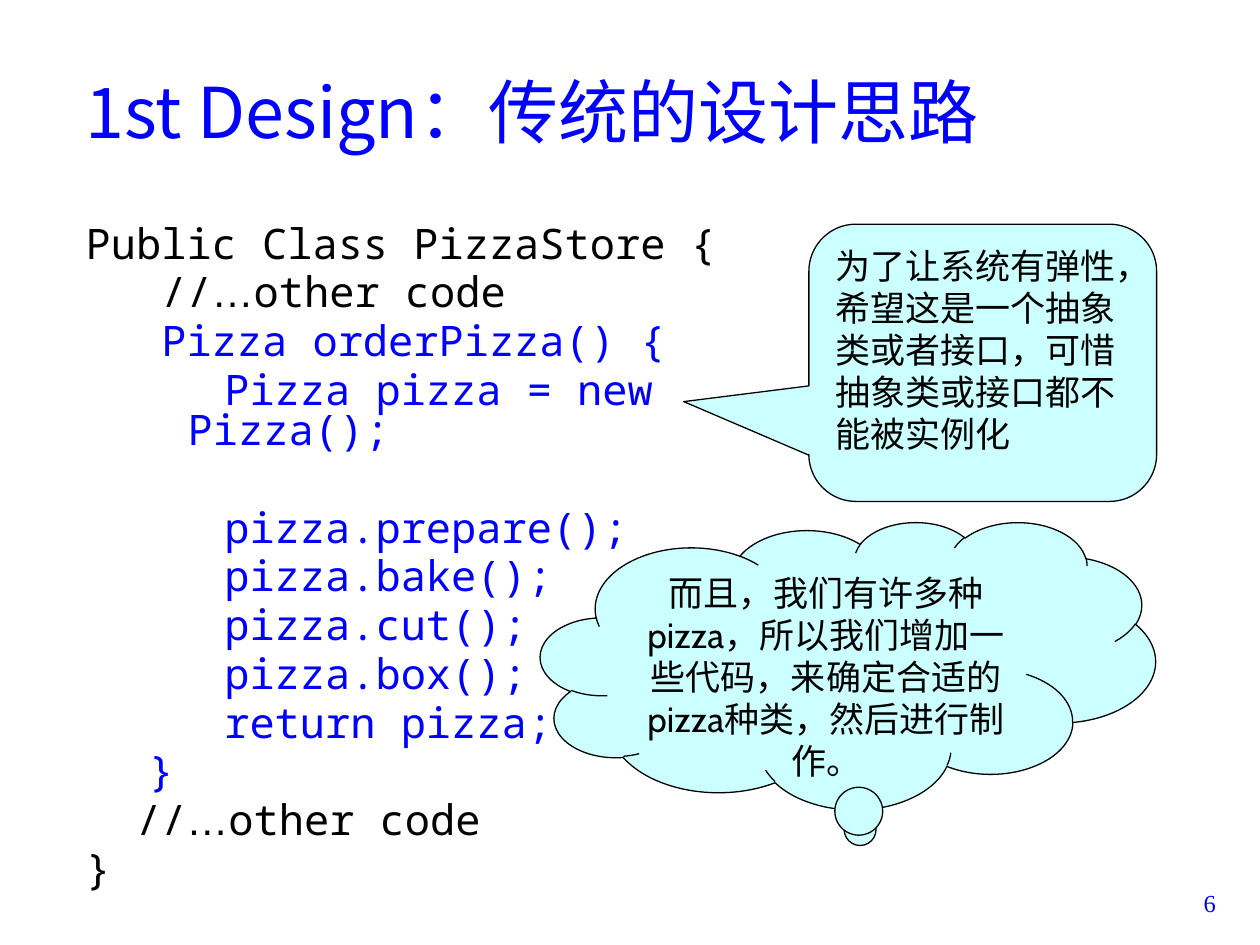
import pptx
import pptx.util
import pptx.dml.color
import pptx.enum.shapes
import pptx.enum.text
import pptx.oxml.ns
from lxml import etree

Inches, Pt = pptx.util.Inches, pptx.util.Pt
ALIGN = pptx.enum.text.PP_ALIGN
ANCHOR = pptx.enum.text.MSO_ANCHOR
SHAPE = pptx.enum.shapes.MSO_SHAPE

COLOURS = {"blue": "0000FF", "black": "000000", "cyan": "CCFFFF"}
CJK_FONT = "Noto Sans CJK SC"
CODE_SIZE = 24
CODE_GAP = 4.8
BLANK_LINE = 28

# Text, colour, outline level, space before in points
CODE_LINES = [
    ("Public Class PizzaStore {", "black", 0, 0),
    ("   //…other code", "black", 0, CODE_GAP),
    ("   Pizza orderPizza() {", "blue", 0, CODE_GAP),
    ("   Pizza pizza = new Pizza();", "blue", 1, CODE_GAP),
    ("   pizza.prepare();", "blue", 1, CODE_GAP + BLANK_LINE),
    ("   pizza.bake();", "blue", 1, CODE_GAP),
    ("   pizza.cut();", "blue", 1, CODE_GAP),
    ("   pizza.box();", "blue", 1, CODE_GAP),
    ("   return pizza;", "blue", 1, CODE_GAP),
    ("}", "blue", 1, CODE_GAP),
    ("  //…other code", "black", 0, CODE_GAP),
    ("}", "black", 0, CODE_GAP),
]
# Left margin and first-line indent for each outline level
INDENTS = [(0.38, -0.38), (0.81, -0.31)]


def colour(name):
    return pptx.dml.color.RGBColor.from_string(COLOURS[name])


def set_attributes(target, values):
    for name, value in values.items():
        setattr(target, name, value)


def place(shape, left, top, width, height):
    set_attributes(shape, {"left": Inches(left), "top": Inches(top),
                           "width": Inches(width), "height": Inches(height)})


def add_run(paragraph, text, font, size, colour_name):
    run = paragraph.add_run()
    run.text = text
    set_attributes(run.font, {"name": font, "size": Pt(size)})
    run.font.color.rgb = colour(colour_name)
    east_asian = etree.SubElement(run._r.get_or_add_rPr(), pptx.oxml.ns.qn("a:ea"))
    east_asian.set("typeface", CJK_FONT)


def format_frame(frame, anchor):
    set_attributes(frame, {"word_wrap": True, "vertical_anchor": anchor,
                           "auto_size": pptx.enum.text.MSO_AUTO_SIZE.NONE})


def write_line(shape, text, font, size, colour_name, alignment, anchor=ANCHOR.TOP):
    format_frame(shape.text_frame, anchor)
    paragraph = shape.text_frame.paragraphs[0]
    paragraph.alignment = alignment
    add_run(paragraph, text, font, size, colour_name)


def write_code(shape):
    frame = shape.text_frame
    format_frame(frame, ANCHOR.TOP)
    for index, (text, colour_name, level, space) in enumerate(CODE_LINES):
        paragraph = frame.add_paragraph() if index else frame.paragraphs[0]
        properties = paragraph._p.get_or_add_pPr()
        for name, value in zip(("marL", "indent"), INDENTS[level]):
            properties.set(name, str(Inches(value)))
        etree.SubElement(properties, pptx.oxml.ns.qn("a:buNone"))
        set_attributes(paragraph, {"level": level, "line_spacing": 0.8,
                                   "space_before": Pt(space),
                                   "alignment": ALIGN.LEFT})
        before, ellipsis, after = text.partition("…")
        add_run(paragraph, before, "Noto Sans Mono", CODE_SIZE, colour_name)
        if ellipsis:
            add_run(paragraph, ellipsis, "Arial", CODE_SIZE, colour_name)
            add_run(paragraph, after, "Noto Sans Mono", CODE_SIZE, colour_name)


def add_callout(slide, kind, box, adjustments, text, alignment):
    shape = slide.shapes.add_shape(kind, *map(Inches, box))
    shape.shadow.inherit = False
    for index, value in enumerate(adjustments):
        shape.adjustments[index] = value
    shape.fill.solid()
    shape.fill.fore_color.rgb = colour("cyan")
    shape.line.color.rgb = colour("black")
    shape.line.width = Pt(0.75)
    write_line(shape, text, "Cabin", 20, "black", alignment)


def main():
    presentation = pptx.Presentation()
    presentation.slide_width, presentation.slide_height = Inches(10), Inches(7.5)
    slide = presentation.slides.add_slide(presentation.slide_layouts[1])

    title, body = slide.placeholders
    place(title, 0.58, 0.25, 8.75, 1.25)
    write_line(title, "1st Design：传统的设计思路", CJK_FONT, 40, "blue",
               ALIGN.LEFT, ANCHOR.MIDDLE)
    place(body, 0.58, 1.75, 5.28, 5.08)
    write_code(body)

    add_callout(slide, SHAPE.ROUNDED_RECTANGULAR_CALLOUT, (6.42, 1.78, 2.76, 2.2),
                (-0.86, 0.14, 0.17),
                "为了让系统有弹性，希望这是一个抽象类或者接口，可惜抽象类或接口都不能被实例化",
                ALIGN.LEFT)
    add_callout(slide, SHAPE.CLOUD_CALLOUT, (4.29, 4.14, 4.88, 2.28), (0.02, 0.58),
                "而且，我们有许多种pizza，所以我们增加一些代码，来确定合适的pizza种类，然后进行制作。",
                ALIGN.CENTER)

    page_number = slide.shapes.add_textbox(*map(Inches, (9.08, 7, 0.67, 0.5)))
    write_line(page_number, "6", "Times New Roman", 14, "blue", ALIGN.RIGHT)
    presentation.save("out.pptx")


if __name__ == "__main__":
    main()
